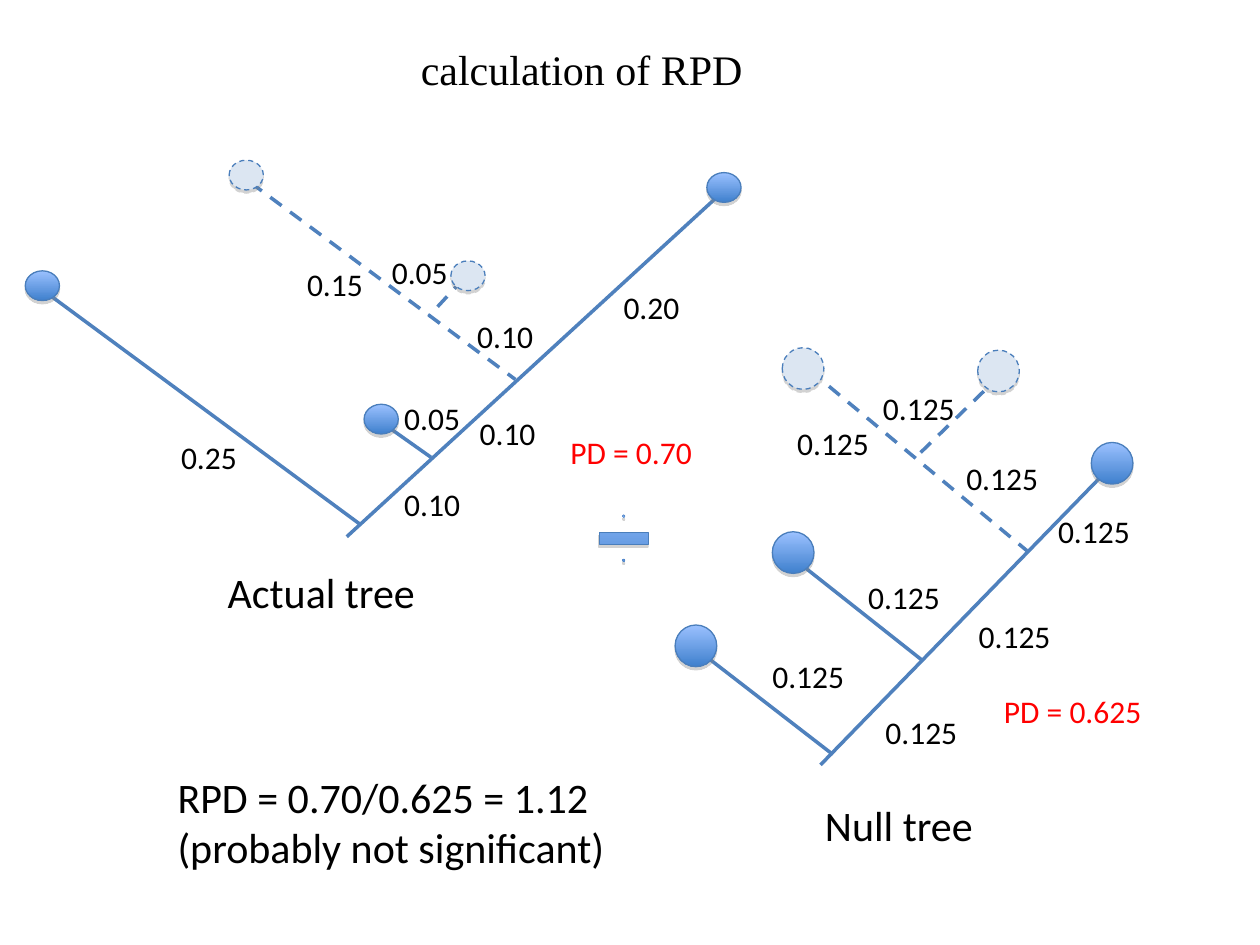
from dataclasses import dataclass

import pptx
import pptx.dml.color
import pptx.enum.dml
import pptx.enum.shapes
import pptx.enum.text
import pptx.oxml
import pptx.oxml.ns
import pptx.util

Cm = pptx.util.Cm
Pt = pptx.util.Pt
Shapes = pptx.enum.shapes.MSO_SHAPE

BLACK, RED = "000000", "FF0000"
BRANCH, OUTLINE, PALE = "4F81BD", "4A7EBB", "DCE6F2"
GRADIENT = ("9BC1FF", "3F80CD")


@dataclass
class Branch:
    start: tuple[float, float]
    end: tuple[float, float]
    missing: bool = False


@dataclass
class Tip:
    left: float
    top: float
    missing: bool = False


@dataclass
class Label:
    text: str
    left: float
    top: float
    width: float
    height: float = 1.02
    size: int = 18
    color: str = BLACK


@dataclass
class Tree:
    tip_size: tuple[float, float]
    branches: list[Branch]
    tips: list[Tip]
    labels: list[Label]


NULL_TREE = Tree(
    tip_size=(0.84, 0.84),
    branches=[
        Branch((14.1, 13.13), (16.79, 15.21)),
        Branch((16.15, 11.38), (18.59, 13.31)),
        Branch((16.33, 7.47), (20.7, 11.1), missing=True),
        Branch((22.3, 9.5), (16.54, 15.42)),
        Branch((20.19, 7.54), (18.49, 9.19), missing=True),
    ],
    tips=[
        Tip(13.61, 12.6),
        Tip(15.57, 10.72),
        Tip(22, 8.92),
        Tip(19.71, 7.06, missing=True),
        Tip(15.77, 7.01, missing=True),
    ],
    labels=[
        *(Label("0.125", left, top, 1.96) for left, top in (
            (15.32, 13.13), (17.6, 14.25), (19.48, 12.32), (17.25, 11.53),
            (17.55, 7.72), (19.23, 9.12), (21.08, 10.19), (15.82, 8.43))),
        Label("PD = 0.625", 19.99, 13.82, 3.28, color=RED),
        Label("Null tree", 16.38, 16, 3.51, 1.27, 24),
    ],
)

ACTUAL_TREE = Tree(
    tip_size=(0.69, 0.6),
    branches=[
        Branch((0.99, 5.94), (7.26, 10.57)),
        Branch((7.87, 8.64), (8.69, 9.22)),
        Branch((5.05, 3.68), (10.39, 7.65), missing=True),
        Branch((14.63, 3.81), (6.99, 10.82)),
        Branch((9.35, 5.61), (8.64, 6.38), missing=True),
    ],
    tips=[
        Tip(0.51, 5.46),
        Tip(14.25, 3.48),
        Tip(7.34, 8.15),
        Tip(4.62, 3.23, missing=True),
        Tip(9.09, 5.26, missing=True),
    ],
    labels=[
        *(Label(text, left, top, 1.63) for text, left, top in (
            ("0.10", 7.9, 9.65), ("0.10", 9.42, 8.23), ("0.25", 3.4, 8.71),
            ("0.15", 5.94, 5.21), ("0.10", 9.37, 6.27), ("0.20", 12.32, 5.69),
            ("0.05", 7.65, 4.98), ("0.05", 7.9, 7.92))),
        Label("PD = 0.70", 11.25, 8.61, 2.95, color=RED),
        Label("Actual tree", 4.34, 11.3, 4.29, 1.27, 24),
    ],
)

TITLE = Label("calculation of RPD", 8.23, 0.74, 7.21, 1.27, 24)
RESULT = Label("RPD = 0.70/0.625 = 1.12\n(probably not significant)",
               3.33, 15.42, 9.14, 2.29, 24)


def rgb(color: str) -> pptx.dml.color.RGBColor:
    return pptx.dml.color.RGBColor.from_string(color)


def style_line(line, color: str, width: float, dashed: bool) -> None:
    line.color.rgb = rgb(color)
    line.width = Pt(width)
    if dashed:
        line.dash_style = pptx.enum.dml.MSO_LINE.DASH


def add_shadow(shape) -> None:
    """Put a thin grey shadow straight below the shape."""
    shape.shadow.inherit = False
    effects = shape._element.spPr.find(pptx.oxml.ns.qn("a:effectLst"))
    effects.append(pptx.oxml.parse_xml(
        f'<a:outerShdw {pptx.oxml.ns.nsdecls("a")} blurRad="0" dist="{Pt(1.8)}" '
        'dir="5400000" rotWithShape="0"><a:srgbClr val="808080">'
        '<a:alpha val="35000"/></a:srgbClr></a:outerShdw>'))


def fill_gradient(shape) -> None:
    shape.fill.gradient()
    shape.fill.gradient_angle = 270
    for stop, color, position in zip(shape.fill.gradient_stops, GRADIENT, (0, 1)):
        stop.color.rgb = rgb(color)
        stop.position = position


def draw_branch(slide, branch: Branch) -> None:
    connector = slide.shapes.add_connector(
        pptx.enum.shapes.MSO_CONNECTOR.STRAIGHT,
        *(Cm(value) for value in branch.start + branch.end))
    style_line(connector.line, BRANCH, 2, branch.missing)
    pptx.oxml.ns.qn("a:effectLst")
    connector._element.spPr.append(pptx.oxml.parse_xml(
        f'<a:effectLst {pptx.oxml.ns.nsdecls("a")}/>'))


def draw_tip(slide, tip: Tip, size: tuple[float, float]) -> None:
    shape = slide.shapes.add_shape(
        Shapes.OVAL, Cm(tip.left), Cm(tip.top), *(Cm(value) for value in size))
    if tip.missing:
        shape.fill.solid()
        shape.fill.fore_color.rgb = rgb(PALE)
    else:
        fill_gradient(shape)
    style_line(shape.line, OUTLINE, 0.75, tip.missing)
    add_shadow(shape)


def write_label(shape, label: Label, font_name: str = "Calibri") -> None:
    """Place the shape and write the label into it, one paragraph a line."""
    shape.left, shape.top = Cm(label.left), Cm(label.top)
    shape.width, shape.height = Cm(label.width), Cm(label.height)
    frame = shape.text_frame
    frame.word_wrap = False
    frame.auto_size = pptx.enum.text.MSO_AUTO_SIZE.SHAPE_TO_FIT_TEXT
    frame.vertical_anchor = pptx.enum.text.MSO_ANCHOR.TOP
    for index, text in enumerate(label.text.split("\n")):
        paragraph = frame.add_paragraph() if index else frame.paragraphs[0]
        paragraph.alignment = pptx.enum.text.PP_ALIGN.LEFT
        run = paragraph.add_run()
        run.text = text
        run.font.name = font_name
        run.font.size = Pt(label.size)
        run.font.color.rgb = rgb(label.color)


def draw_label(slide, label: Label) -> None:
    write_label(slide.shapes.add_textbox(0, 0, 0, 0), label)


def draw_tree(slide, tree: Tree) -> None:
    for branch in tree.branches:
        draw_branch(slide, branch)
    for tip in tree.tips:
        draw_tip(slide, tip, tree.tip_size)
    for label in tree.labels:
        draw_label(slide, label)


def draw_division_sign(slide) -> None:
    sign = slide.shapes.add_shape(
        Shapes.MATH_DIVIDE, Cm(11.89), Cm(9.68), Cm(1.37), Cm(2.34))
    for index, share in enumerate((0.1, 0.13, 0.01)):
        sign.adjustments[index] = share
    fill_gradient(sign)
    style_line(sign.line, OUTLINE, 0.25, False)
    add_shadow(sign)


def main() -> None:
    presentation = pptx.Presentation()
    presentation.slide_width, presentation.slide_height = Cm(25.4), Cm(19.05)
    slide = presentation.slides.add_slide(presentation.slide_layouts[5])
    write_label(slide.shapes.title, TITLE, "Times New Roman")
    for tree in (NULL_TREE, ACTUAL_TREE):
        draw_tree(slide, tree)
    draw_label(slide, RESULT)
    draw_division_sign(slide)
    presentation.save("out.pptx")


if __name__ == "__main__":
    main()
